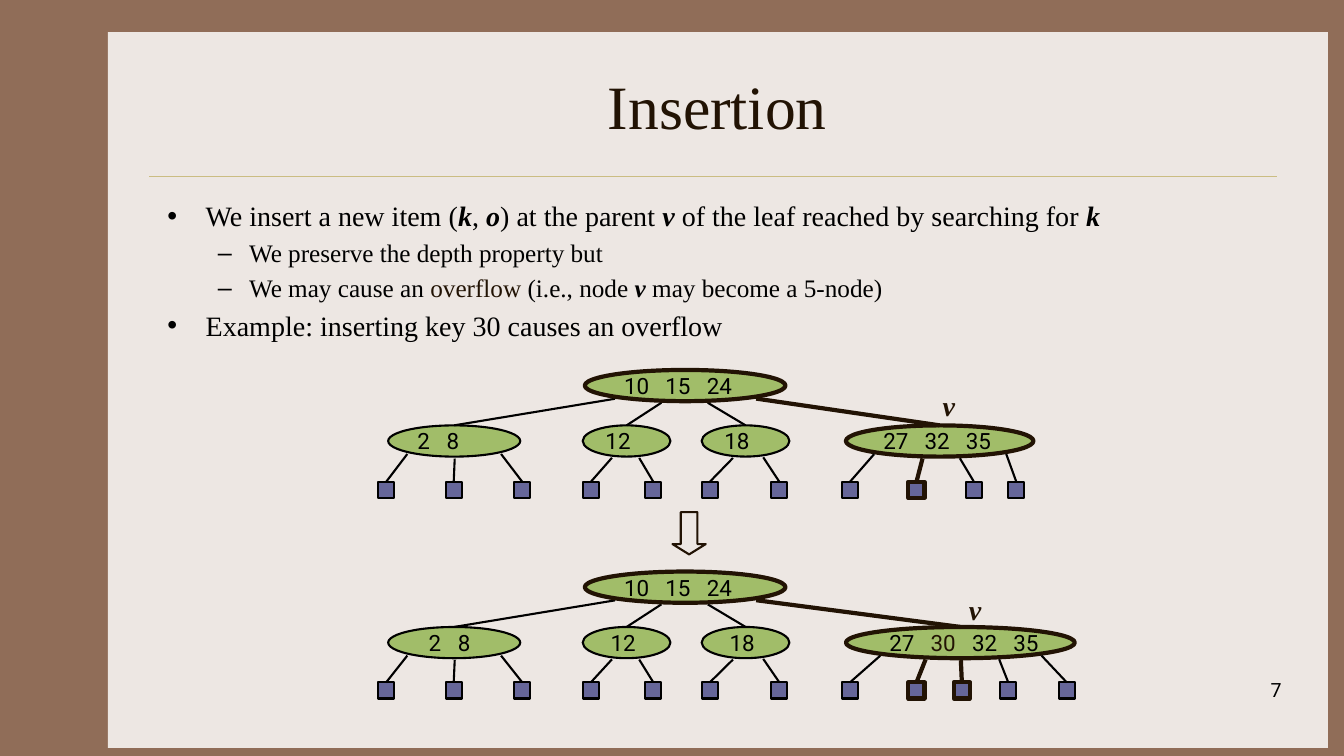
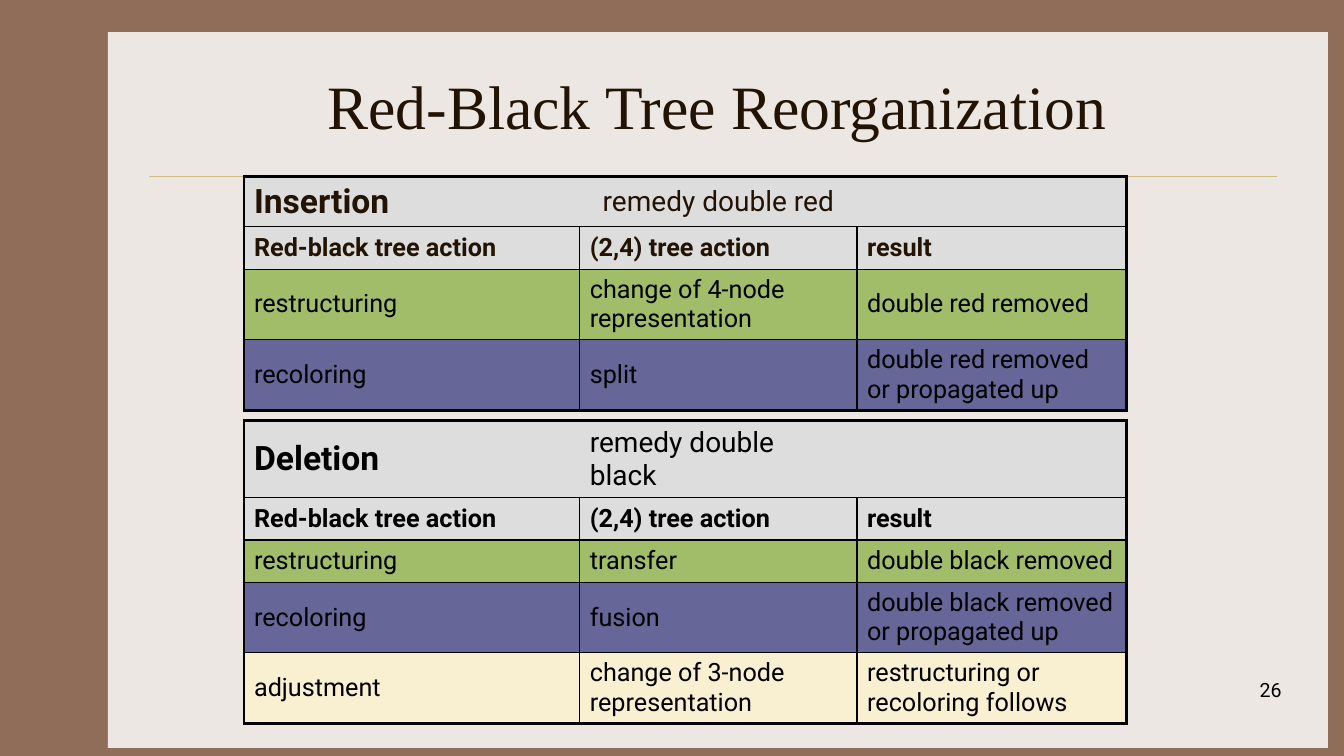
from dataclasses import dataclass
from math import sqrt

from lxml import etree
from pptx import Presentation
from pptx.dml.color import RGBColor
from pptx.enum import shapes, text
from pptx.oxml import ns
from pptx.util import Inches, Pt

BROWN = RGBColor(0x90, 0x6D, 0x58)
PAPER = RGBColor(0xED, 0xE7, 0xE3)
GOLD = RGBColor(0xCB, 0xBD, 0x83)
DARK = RGBColor(0x22, 0x13, 0x04)
BLACK = RGBColor(0, 0, 0)
GREEN = RGBColor(0xA1, 0xBD, 0x69)
PURPLE = RGBColor(0x66, 0x66, 0x99)
GREY = RGBColor(0xDD, 0xDD, 0xDD)
CREAM = RGBColor(0xF8, 0xF0, 0xD0)

SERIF, SANS = "Times New Roman", "Roboto"
STRONG = {"bold": True, "italic": True}
THIN, THICK = 1.5, 3
NODE_HEIGHT, LEAF_SIZE, EDGE_GAP = 0.31, 0.16, 0.02
LEVEL_DROP = 0.55


@dataclass
class Node:
    """A tree node; horizontal lengths are measured from the left of its tree."""
    left: float
    width: float
    keys: list
    feet: list
    leaves: tuple = ()
    bold: bool = False
    bold_children: tuple = ()
    indent: float = 0
    new_key: str = ""


def inches(values):
    return [Inches(value) for value in values]


def add_span(para, words, size=16, font=SANS, color=BLACK, bold=False, italic=False):
    span = para.add_run()
    span.text = words
    span.font.size, span.font.name = Pt(size), font
    span.font.color.rgb = color
    span.font.bold, span.font.italic = bold, italic


def add_child(parent, tag, **attributes):
    child = etree.SubElement(parent, ns.qn(tag))
    for name, value in attributes.items():
        child.set(name, str(value))
    return child


def add_box(page, kind, box, fill=None, line=None, width=THIN):
    shape = page.shapes.add_shape(kind, *inches(box))
    shape.shadow.inherit = False
    if fill is None:
        shape.fill.background()
    else:
        shape.fill.solid()
        shape.fill.fore_color.rgb = fill
    if line is None:
        shape.line.fill.background()
    else:
        shape.line.color.rgb = line
        shape.line.width = Pt(width)
    return shape


def add_line(page, start, end, color=BLACK, width=THIN):
    line = page.shapes.add_connector(
        shapes.MSO_CONNECTOR.STRAIGHT, *inches(start), *inches(end))
    line.line.color.rgb = color
    line.line.width = Pt(width)
    add_child(line.element.spPr, "a:effectLst")
    return line


def add_label(page, box, words, align=text.PP_ALIGN.LEFT, wrap=True, **style):
    frame = page.shapes.add_textbox(*inches(box)).text_frame
    frame.word_wrap = wrap
    frame.paragraphs[0].alignment = align
    add_span(frame.paragraphs[0], words, **style)


def place(holder, box):
    holder.left, holder.top, holder.width, holder.height = inches(box)


def decorate_master(deck, page):
    """Draw the shared panel and rule, then move them behind everything on the master."""
    master = deck.slide_master
    master.background.fill.solid()
    master.background.fill.fore_color.rgb = BROWN
    panel = add_box(page, shapes.MSO_SHAPE.RECTANGLE, (1.07, 0.32, 12.1, 7.1), PAPER)
    rule = add_line(page, (1.48, 1.75), (12.67, 1.75), GOLD, 0.25)
    for index, part in enumerate((panel, rule)):
        part.element.xpath(".//p:cNvPr")[0].set("id", str(50 + index))
        master.shapes.element.insert(2 + index, part.element)


def add_page(deck, layout, title, number):
    page = deck.slides.add_slide(deck.slide_layouts[layout])
    holder = page.shapes.title
    place(holder, (1.56, 0.42, 11.11, 1.25))
    holder.text_frame.vertical_anchor = text.MSO_ANCHOR.MIDDLE
    para = holder.text_frame.paragraphs[0]
    para.alignment = text.PP_ALIGN.CENTER
    add_span(para, title, size=44, font=SERIF, color=DARK)
    add_label(page, (10.03, 6.68, 2.78, 0.5), number, text.PP_ALIGN.RIGHT, size=14)
    return page


def fill_list(holder, box, items):
    """Write (level, spans) items; each span is words with its own format."""
    place(holder, box)
    frame = holder.text_frame
    frame.auto_size = text.MSO_AUTO_SIZE.NONE
    levels = [(0.38, 0.38, "•", 20), (0.81, 0.31, "–", 18)]
    for index, (level, spans) in enumerate(items):
        para = frame.paragraphs[0] if index == 0 else frame.add_paragraph()
        margin, hanging, bullet, size = levels[level]
        para.level = level
        para.space_before = Pt(size * 0.2 if index else 0)
        properties = para._p.get_or_add_pPr()
        properties.set("marL", str(Inches(margin)))
        properties.set("indent", str(-Inches(hanging)))
        add_child(properties, "a:buChar", char=bullet)
        for words, style in spans:
            add_span(para, words, size=size, font=SERIF, **style)


def write_keys(shape, node):
    frame = shape.text_frame
    frame.vertical_anchor = text.MSO_ANCHOR.MIDDLE
    frame.margin_left, frame.margin_right = Inches(0.1 + node.indent), 0
    para = frame.paragraphs[0]
    para.alignment = text.PP_ALIGN.LEFT
    pitch = 0.17 + 0.12 * len(node.keys[0])
    tabs = add_child(para._p.get_or_add_pPr(), "a:tabLst")
    for index in range(1, len(node.keys)):
        add_child(tabs, "a:tab", pos=Inches(pitch * index), algn="l")
    for index, key in enumerate(node.keys):
        add_span(para, "\t" + key if index else key,
                 color=DARK if key == node.new_key else BLACK)


def pen(bold):
    return (DARK, THICK) if bold else (BLACK, THIN)


def draw_tree(page, left, top, root, children, leaf_drop, label_at):
    def draw_node(node, node_top):
        oval = add_box(page, shapes.MSO_SHAPE.OVAL,
                       (left + node.left, node_top, node.width, NODE_HEIGHT),
                       GREEN, *pen(node.bold))
        write_keys(oval, node)
        return oval

    def join(node, node_top, targets):
        """Run an edge from the lower rim of a node to the top of each target."""
        for index, (foot, target) in enumerate(zip(node.feet, targets)):
            reach = (foot - node.left) / (node.width / 2) - 1
            rim = node_top + NODE_HEIGHT / 2 * (1 + sqrt(1 - reach ** 2)) + EDGE_GAP
            start = (left + foot, rim)
            edge = add_line(page, start, start, *pen(index in node.bold_children))
            edge.end_connect(target, 0)

    child_top = top + LEVEL_DROP
    join(root, top, [draw_node(child, child_top) for child in children])
    draw_node(root, top)
    for child in children:
        leaves = [add_box(page, shapes.MSO_SHAPE.RECTANGLE,
                          (left + leaf, top + leaf_drop, LEAF_SIZE, LEAF_SIZE),
                          PURPLE, *pen(index in child.bold_children))
                  for index, leaf in enumerate(child.leaves)]
        join(child, child_top, leaves)
    add_label(page, (left + label_at[0], top + label_at[1], 0.32, 0.43), "v",
              wrap=False, size=20, font=SERIF, color=DARK, **STRONG)


def tree_nodes(last, indents):
    root = Node(2.05, 1.99, ["10", "15", "24"], [2.35, 2.81, 3.27, 3.75],
                bold=True, bold_children=(3,))
    children = [
        Node(0.1, 1.31, ["2", "8"], [0.29, 0.76, 1.22], (0, 0.67, 1.35)),
        Node(2.03, 0.87, ["12"], [2.32, 2.59], (2.03, 2.65)),
        Node(3.21, 0.87, ["18"], [3.52, 3.82], (3.21, 3.9)),
    ]
    for child, indent in zip(children, indents):
        child.indent = indent
    return root, children + [last]


def build_insertion(page):
    plain = {}
    fill_list(page.placeholders[1], (1.56, 1.92, 11.11, 4.5), [
        (0, [("We insert a new item (", plain), ("k", STRONG), (", ", plain),
             ("o", STRONG), (") at the parent ", plain), ("v", STRONG),
             (" of the leaf reached by searching for ", plain), ("k", STRONG)]),
        (1, [("We preserve the depth property but", plain)]),
        (1, [("We may cause an ", plain), ("overflow", {"color": DARK}),
             (" (i.e., node ", plain), ("v", STRONG),
             (" may become a 5-node)", plain)]),
        (0, [("Example: inserting key 30 causes an overflow", plain)]),
    ])
    before = Node(4.64, 1.86, ["27", "32", "35"], [4.92, 5.4, 5.77, 6.23],
                  (4.6, 5.26, 5.83, 6.25), True, (1,))
    after = Node(4.64, 2.27, ["27", "30", "32", "35"], [4.98, 5.43, 5.78, 6.16, 6.58],
                 (4.6, 5.26, 5.71, 6.17, 6.75), True, (1, 2), new_key="30")
    draw_tree(page, 3.75, 3.67, *tree_nodes(before, (0, 0, 0)), 1.11, (5.5, 0.14))
    draw_tree(page, 3.75, 5.67, *tree_nodes(after, (0.11, 0.05, 0.05)), 1.1, (5.76, 0.16))
    arrow = add_box(page, shapes.MSO_SHAPE.DOWN_ARROW, (6.67, 5.08, 0.33, 0.42), line=DARK)
    arrow.adjustments[0], arrow.adjustments[1] = 0.5, 0.31


def set_borders(cell, widths):
    """Draw left, right, top and bottom borders; a zero width leaves one out."""
    properties = cell._tc.get_or_add_tcPr()
    for side, width in zip("LRTB", widths):
        line = add_child(properties, "a:ln" + side, w=Pt(width))
        if width:
            fill = add_child(line, "a:solidFill")
            add_child(fill, "a:srgbClr", val=BLACK)
        else:
            add_child(line, "a:noFill")


def add_actions(page, top, heights, fills, rows, head_color, remedy_align):
    columns = (3.33, 2.75, 2.67)
    frame = page.shapes.add_table(len(rows), len(columns), *inches(
        (2.42, top, sum(columns), sum(heights))))
    table = frame.table
    table.first_row = table.horz_banding = False
    for column, width in zip(table.columns, columns):
        column.width = Inches(width)
    last_row, last_column = len(rows) - 1, len(columns) - 1
    for r, (row, height, fill) in enumerate(zip(rows, heights, fills)):
        table.rows[r].height = Inches(height)
        inner = 1 if r else 0
        for c, words in enumerate(row):
            cell = table.cell(r, c)
            set_borders(cell, (2.25 if c == 0 else inner,
                               2.25 if c == last_column else inner,
                               2.25 if r == 0 else 1,
                               2.25 if r == last_row else 1))
            cell.fill.solid()
            cell.fill.fore_color.rgb = fill
            cell.vertical_anchor = text.MSO_ANCHOR.MIDDLE
            if words:
                para = cell.text_frame.paragraphs[0]
                if (r, c) == (0, 1):
                    para.alignment = remedy_align
                add_span(para, words, size=18 if r else (24, 20)[c],
                         color=head_color if r < 2 else BLACK,
                         bold=r == 1 or (r, c) == (0, 0))


def build_reorganization(page):
    heads = ("Red-black tree action", "(2,4) tree action", "result")
    add_actions(page, 1.75, (0.5, 0.42, 0.7, 0.7), (GREY, GREY, GREEN, PURPLE), [
        ("Insertion", "remedy double red", ""),
        heads,
        ("restructuring", "change of 4-node representation", "double red removed"),
        ("recoloring", "split", "double red removed or propagated up"),
    ], DARK, text.PP_ALIGN.CENTER)
    add_actions(page, 4.17, (0.5, 0.42, 0.42, 0.7, 0.7),
                (GREY, GREY, GREEN, PURPLE, CREAM), [
        ("Deletion", "remedy double black", ""),
        heads,
        ("restructuring", "transfer", "double black removed"),
        ("recoloring", "fusion", "double black removed or propagated up"),
        ("adjustment", "change of 3-node representation",
         "restructuring or recoloring follows"),
    ], BLACK, text.PP_ALIGN.LEFT)


def main():
    deck = Presentation()
    deck.slide_width, deck.slide_height = Inches(13.33), Inches(7.5)
    insertion = add_page(deck, 1, "Insertion", "7")
    decorate_master(deck, insertion)
    build_insertion(insertion)
    build_reorganization(add_page(deck, 5, "Red-Black Tree Reorganization", "26"))
    deck.save("out.pptx")


if __name__ == "__main__":
    main()
